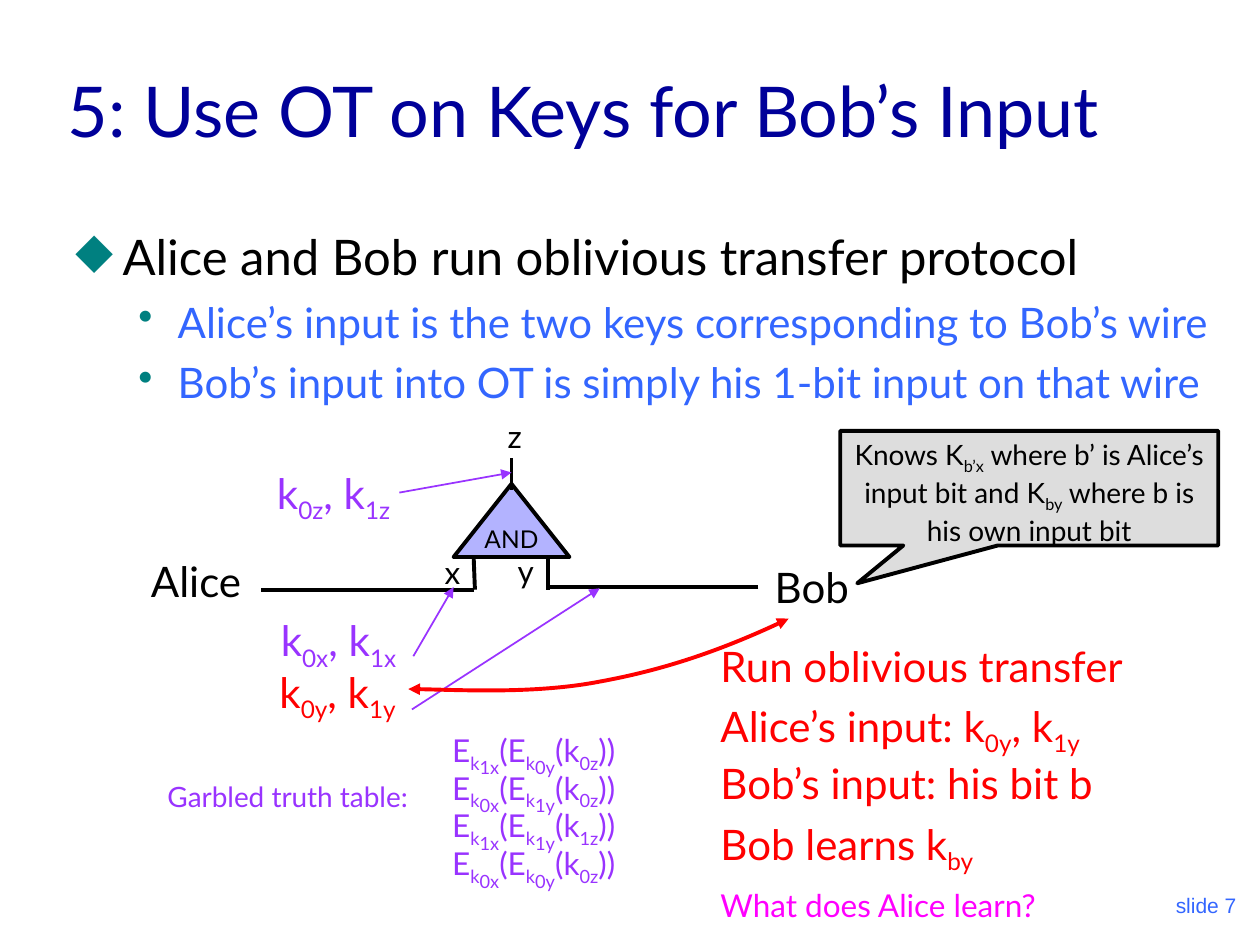
import pptx
import pptx.util
import pptx.dml.color
import pptx.enum.text
import pptx.enum.shapes
import pptx.oxml
import pptx.oxml.ns

Pt = pptx.util.Pt
qn = pptx.oxml.ns.qn
ALIGN = pptx.enum.text.PP_ALIGN
ANCHOR = pptx.enum.text.MSO_ANCHOR
FIT = pptx.enum.text.MSO_AUTO_SIZE
FORM = pptx.enum.shapes.MSO_SHAPE

HEX = {"navy": "000099", "black": "000000", "blue": "3366FF", "teal": "008080",
       "violet": "9933FF", "red": "FF0000", "pink": "FF00FF",
       "lilac": "B3B3FF", "gray": "DDDDDD"}

# Markup: |k| is a subscript, |k~0x| a subscript with a deeper one
TITLE = "5: Use OT on Keys for Bob’s Input"
# text, size, colour, bullet, left margin, indent, space before
BODY = [
    ("Alice and Bob run oblivious transfer protocol", 28, "black", "◆", 27, -27, 7),
    ("Alice’s input is the two keys corresponding to Bob’s wire", 24, "blue", "•", 58.5, -22.5, 6),
    ("Bob’s input into OT is simply his 1-bit input on that wire", 24, "blue", "•", 58.5, -22.5, 6),
]
# text, box, size, colour
LABELS = [
    ("x", (247, 312.5, 24, 29), 18, "black"),
    ("y", (288.7, 311.8, 24, 29), 18, "black"),
    ("z", (283, 234.7, 22, 29), 18, "black"),
    ("Alice", (79.2, 314, 67, 36), 24, "black"),
    ("Bob", (435.6, 317.5, 59, 36), 24, "black"),
    ("k|0z|, k|1z|", (151.2, 263.5, 81.4, 40.3), 24, "violet"),
    ("k|0x|, k|1x|", (153.4, 347.8, 83.5, 40.3), 24, "violet"),
    ("k|0y|, k|1y|", (152.6, 377.3, 82.8, 40.3), 24, "red"),
    ("Garbled truth table:", (88.6, 442, 162, 26.6), 16, "violet"),
]
# key indices of each garbled row: x, y, z
TABLE = [(1, 0, 0), (0, 1, 0), (1, 1, 1), (0, 0, 0)]
# text, size, colour, space before, line spacing
STEPS = [
    ("Run oblivious transfer", 24, "red", 6, 1.0),
    ("Alice’s input: k|0y|, k|1y|", 24, "red", 6, 0.9),
    ("Bob’s input: his bit b", 24, "red", 6, 0.9),
    ("Bob learns k|by|", 24, "red", 6, 0.9),
    ("What does Alice learn?", 18, "pink", 11, 0.9),
]
NOTE = "Knows K|b’x| where b’ is Alice’s input bit and K|by| where b is his own input bit"
WIRES = [(270.7, 319, 271.4, 337), (313.2, 319, 313.2, 337), (292.3, 262, 292.3, 280),
         (271, 337, 149, 337), (433.4, 335.5, 312.5, 335.5)]
ARROWS = [(228.2, 281.5, 292.3, 270), (236.2, 375, 259.2, 335.5), (235.4, 405.4, 342.7, 336.2)]
CURVE = [(233.3, 393.8), (252, 393.8), (306, 396.7), (342.7, 389.5),
         (378.7, 383), (414.7, 370.8), (450.7, 353.5)]

deck = pptx.Presentation()
deck.slide_width, deck.slide_height = Pt(720), Pt(540)
slide = deck.slides.add_slide(deck.slide_layouts[6])
shapes = slide.shapes


def rgb(name):
    return pptx.dml.color.RGBColor.from_string(HEX[name])


def split(text):
    """Yield (part, baseline) pairs of the markup."""
    for i, part in enumerate(text.split("|")):
        for j, bit in enumerate(part.split("~")):
            if bit:
                yield bit, (0, -25000, -40000)[i % 2 + j]


def write(para, text, size, hue, before=0, face="Lato"):
    para.space_before = Pt(before)
    for bit, base in split(text):
        run = para.add_run()
        run.text = bit
        font = run.font
        font.size, font.name = Pt(size), face
        font.color.rgb = rgb(hue)
        if base:
            run._r.get_or_add_rPr().set("baseline", str(base))


def frame(item, wrap=True, anchor=ANCHOR.TOP):
    text = item.text_frame
    text.word_wrap = wrap
    text.vertical_anchor = anchor
    return text


def add_box(box, wrap=True, anchor=ANCHOR.TOP):
    text = frame(shapes.add_textbox(*map(Pt, box)), wrap, anchor)
    if not wrap:
        text.auto_size = FIT.SHAPE_TO_FIT_TEXT
    return text


def add_label(text, box, size, hue):
    write(add_box(box, False).paragraphs[0], text, size, hue, size / 4)


def add_form(kind, box, fill):
    item = shapes.add_shape(kind, *map(Pt, box))
    item.shadow.inherit = False
    item.fill.solid()
    item.fill.fore_color.rgb = rgb(fill)
    stroke(item, "black", 2.25)
    return item


def stroke(item, hue, width, ends=()):
    item.line.color.rgb = rgb(hue)
    item.line.width = Pt(width)
    for end in ends:
        tip = item.line._get_or_add_ln().makeelement(qn("a:" + end), {"type": "triangle"})
        item.line._get_or_add_ln().append(tip)


def add_line(ends, hue, width, tips=()):
    item = shapes.add_connector(pptx.enum.shapes.MSO_CONNECTOR.STRAIGHT, *map(Pt, ends))
    stroke(item, hue, width, tips)
    props = item._element.spPr
    props.append(props.makeelement(qn("a:effectLst"), {}))


def add_curve(points, hue, width):
    pen = shapes.build_freeform(*map(Pt, points[0]), scale=1.0)
    pen.add_line_segments([tuple(map(Pt, p)) for p in points[1:]], close=False)
    item = pen.convert_to_shape()
    item.shadow.inherit = False
    item.fill.background()
    stroke(item, hue, width, ("headEnd", "tailEnd"))
    # Merge every three straight segments into one cubic one
    track = item._element.spPr.find(".//" + qn("a:path"))
    steps = track.findall(qn("a:lnTo"))
    for i in range(0, len(steps), 3):
        cubic = track.makeelement(qn("a:cubicBezTo"), {})
        for step in steps[i:i + 3]:
            cubic.append(step[0])
            track.remove(step)
        track.append(cubic)


# Slide number and title
num = add_box((563.8, 491.8, 149.8, 36), anchor=ANCHOR.BOTTOM).paragraphs[0]
num.alignment = ALIGN.RIGHT
write(num, "slide 7", 12, "blue", 7.5, "Arial")
write(add_box((31.7, -13, 663.8, 103), anchor=ANCHOR.BOTTOM).paragraphs[0], TITLE, 40, "navy")

# Bulleted body
body = add_box((36, 126, 671.8, 396))
for i, (text, size, hue, mark, left, indent, before) in enumerate(BODY):
    para = body.add_paragraph() if i else body.paragraphs[0]
    para.level = min(i, 1)
    write(para, text, size, hue, before)
    props = para._p.get_or_add_pPr()
    props.set("marL", str(int(Pt(left))))
    props.set("indent", str(int(Pt(indent))))
    tint = props.makeelement(qn("a:buClr"), {})
    tint.append(tint.makeelement(qn("a:srgbClr"), {"val": HEX["teal"]}))
    props.append(tint)
    props.append(props.makeelement(qn("a:buChar"), {"char": mark}))

# Gate with its wires
gate = add_form(FORM.ISOSCELES_TRIANGLE, (259.2, 276.5, 66.2, 41.8), "lilac")
para = frame(gate, False, ANCHOR.MIDDLE).paragraphs[0]
para.alignment = ALIGN.CENTER
write(para, "AND", 14, "black", 3.5)
for ends in WIRES:
    add_line(ends, "black", 2.25)

# Labels, key arrows and transfer curve
for label in LABELS:
    add_label(*label)
for ends in ARROWS:
    add_line(ends, "violet", 1, ("tailEnd",))
add_curve(CURVE, "red", 2.25)

# Transfer steps
flow = add_box((404.6, 362.2, 262, 171.4), False)
for i, (text, size, hue, before, gap) in enumerate(STEPS):
    para = flow.add_paragraph() if i else flow.paragraphs[0]
    para.line_spacing = gap
    write(para, text, size, hue, before)

# Callout
note = add_form(FORM.RECTANGULAR_CALLOUT, (480.2, 246.2, 216, 65.5), "gray")
note.adjustments[0], note.adjustments[1] = -0.455, 0.83
para = frame(note).paragraphs[0]
para.alignment = ALIGN.CENTER
write(para, NOTE, 16, "black", 4)

# Garbled truth table
for i, (x, y, z) in enumerate(TABLE):
    add_label(f"E|k~{x}x|(E|k~{y}y|(k|{z}z|))", (251.3, 414 + 21.6 * i, 110.2, 34.6), 18, "violet")

deck.save("out.pptx")
